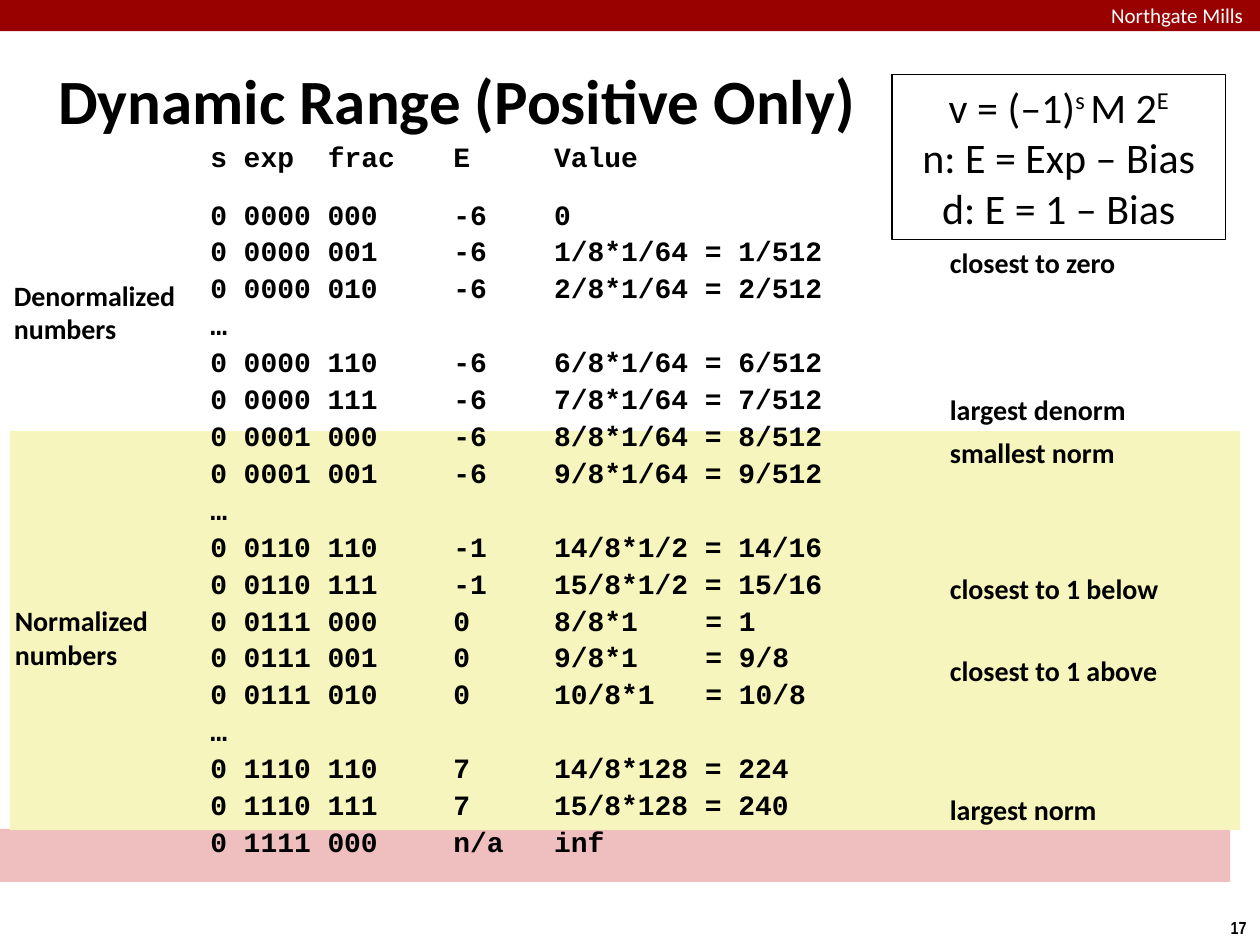
from dataclasses import dataclass

import pptx
import pptx.dml.color
import pptx.enum.shapes
import pptx.enum.text
import pptx.util
from pptx.util import Cm, Pt

ALIGN = pptx.enum.text.PP_ALIGN
ANCHOR = pptx.enum.text.MSO_ANCHOR


@dataclass(frozen=True)
class Theme:
    ink: str = "000000"
    paper: str = "FFFFFF"
    red: str = "990000"
    pink: str = "EFBFBF"
    yellow: str = "F6F5BD"
    sans: str = "Calibri"
    mono: str = "Courier New"
    narrow: str = "Arial Narrow"
    title: int = 36
    rule: int = 24
    body: int = 16
    head: int = 12
    foot: int = 10


THEME = Theme()

ROWS = [
    "s exp\tfrac\tE\tValue",
    "0 0000 000\t-6\t0",
    "0 0000 001\t-6\t1/8*1/64 = 1/512",
    "0 0000 010\t-6\t2/8*1/64 = 2/512",
    "…",
    "0 0000 110\t-6\t6/8*1/64 = 6/512",
    "0 0000 111\t-6\t7/8*1/64 = 7/512",
    "0 0001 000\t-6\t8/8*1/64 = 8/512",
    "0 0001 001\t-6\t9/8*1/64 = 9/512",
    "…",
    "0 0110 110\t-1\t14/8*1/2 = 14/16",
    "0 0110 111\t-1\t15/8*1/2 = 15/16",
    "0 0111 000\t0\t8/8*1\t= 1",
    "0 0111 001\t0\t9/8*1\t= 9/8",
    "0 0111 010\t0\t10/8*1\t= 10/8",
    "…",
    "0 1110 110\t7\t14/8*128 = 224",
    "0 1110 111\t7\t15/8*128 = 240",
    "0 1111 000\tn/a\tinf",
]
TABS = [2.37, 4.9, 6.93, 9.98]

RULES = ["v = (–1)^s ^M 2^E", "n: E = Exp – Bias", "d: E = 1 – Bias"]

# left, top, text
LABELS = [
    (19.05, 4.85, "closest to zero"),
    (19.05, 7.82, "largest denorm"),
    (19.05, 8.69, "smallest norm"),
    (19.05, 11.43, "closest to 1 below"),
    (19.05, 13.08, "closest to 1 above"),
    (19.05, 15.88, "largest norm"),
    (0.18, 5.51, "Denormalized\nnumbers"),
    (0.2, 12.07, "Normalized\nnumbers"),
]


def color(code):
    return pptx.dml.color.RGBColor.from_string(code)


def write(frame, text, size=THEME.body, font=THEME.sans, ink=THEME.ink,
          bold=False, align=ALIGN.LEFT, anchor=ANCHOR.TOP, inset=0.0,
          space=None):
    """Fill a frame, one paragraph a line; ^ turns superscript on and off."""
    frame.word_wrap = True
    frame.auto_size = pptx.enum.text.MSO_AUTO_SIZE.NONE
    frame.vertical_anchor = anchor
    frame.margin_left = frame.margin_right = Cm(inset)
    frame.margin_top = frame.margin_bottom = Cm(inset)
    for i, line in enumerate(text.split("\n")):
        para = frame.add_paragraph() if i else frame.paragraphs[0]
        para.alignment = align
        para.line_spacing = space
        for j, part in enumerate(line.split("^")):
            run = para.add_run()
            run.text = part
            run.font.size = Pt(size)
            run.font.name = font
            run.font.bold = bold
            run.font.color.rgb = color(ink)
            if j % 2:
                run.font._element.set("baseline", "32000")
    return frame


def add_text(slide, box, text, **form):
    shape = slide.shapes.add_textbox(*map(Cm, box))
    return write(shape.text_frame, text, **form)


def add_box(slide, box, fill=None, line=None):
    kind = pptx.enum.shapes.MSO_SHAPE.RECTANGLE
    shape = slide.shapes.add_shape(kind, *map(Cm, box))
    shape.shadow.inherit = False
    if fill:
        shape.fill.solid()
        shape.fill.fore_color.rgb = color(fill)
    else:
        shape.fill.background()
    if line:
        shape.line.color.rgb = color(line)
        shape.line.width = Pt(0.75)
    else:
        shape.line.fill.background()
    return shape


def set_title(slide, box, text):
    title = slide.shapes.title
    title.left, title.top, title.width, title.height = map(Cm, box)
    write(title.text_frame, text, size=THEME.title, bold=True,
          anchor=ANCHOR.MIDDLE, inset=0.1)


def set_tabs(para, stops):
    props = para._p.get_or_add_pPr()
    tabs = pptx.oxml.parse_xml(
        '<a:tabLst xmlns:a="http://schemas.openxmlformats.org/drawingml/2006/main">'
        + "".join(f'<a:tab pos="{int(Cm(stop))}" algn="l"/>' for stop in stops)
        + "</a:tabLst>")
    props.append(tabs)


def add_rows(slide, box):
    """Write the number listing in columns set by tab stops."""
    frame = add_text(slide, box, "\n".join(ROWS), font=THEME.mono,
                     bold=True, space=1.1)
    frame.paragraphs[1].space_before = Pt(12)
    for para in frame.paragraphs:
        set_tabs(para, TABS)


def main():
    deck = pptx.Presentation()
    deck.slide_width, deck.slide_height = Cm(25.4), Cm(19.05)
    slide = deck.slides.add_slide(deck.slide_layouts[5])

    add_box(slide, (0, 0, 25.4, 0.63), fill=THEME.red)
    add_text(slide, (22.4, 0.05, 3, 0.48), "Northgate Mills",
             size=THEME.head, ink=THEME.paper)
    add_box(slide, (0, 16.71, 24.8, 1.07), fill=THEME.pink)
    add_box(slide, (0.2, 8.69, 24.8, 8.04), fill=THEME.yellow)

    set_title(slide, (1.07, 0.71, 23.3, 2.57), "Dynamic Range (Positive Only)")
    add_rows(slide, (4.24, 2.74, 12.9, 15.44))
    for left, top, text in LABELS:
        tall = 0.89 + 0.68 * text.count("\n")
        add_text(slide, (left, top, 5.15 if left > 10 else 3.94, tall),
                 text, bold=True, inset=0.1)

    note = add_box(slide, (17.98, 1.5, 6.73, 3.33), line=THEME.ink)
    write(note.text_frame, "\n".join(RULES), size=THEME.rule,
          align=ALIGN.CENTER, anchor=ANCHOR.MIDDLE, inset=0.13)
    add_text(slide, (24.54, 18.36, 0.86, 0.69), "17", size=THEME.foot,
             font=THEME.narrow, bold=True, align=ALIGN.CENTER,
             anchor=ANCHOR.MIDDLE)
    deck.save("out.pptx")


if __name__ == "__main__":
    main()
